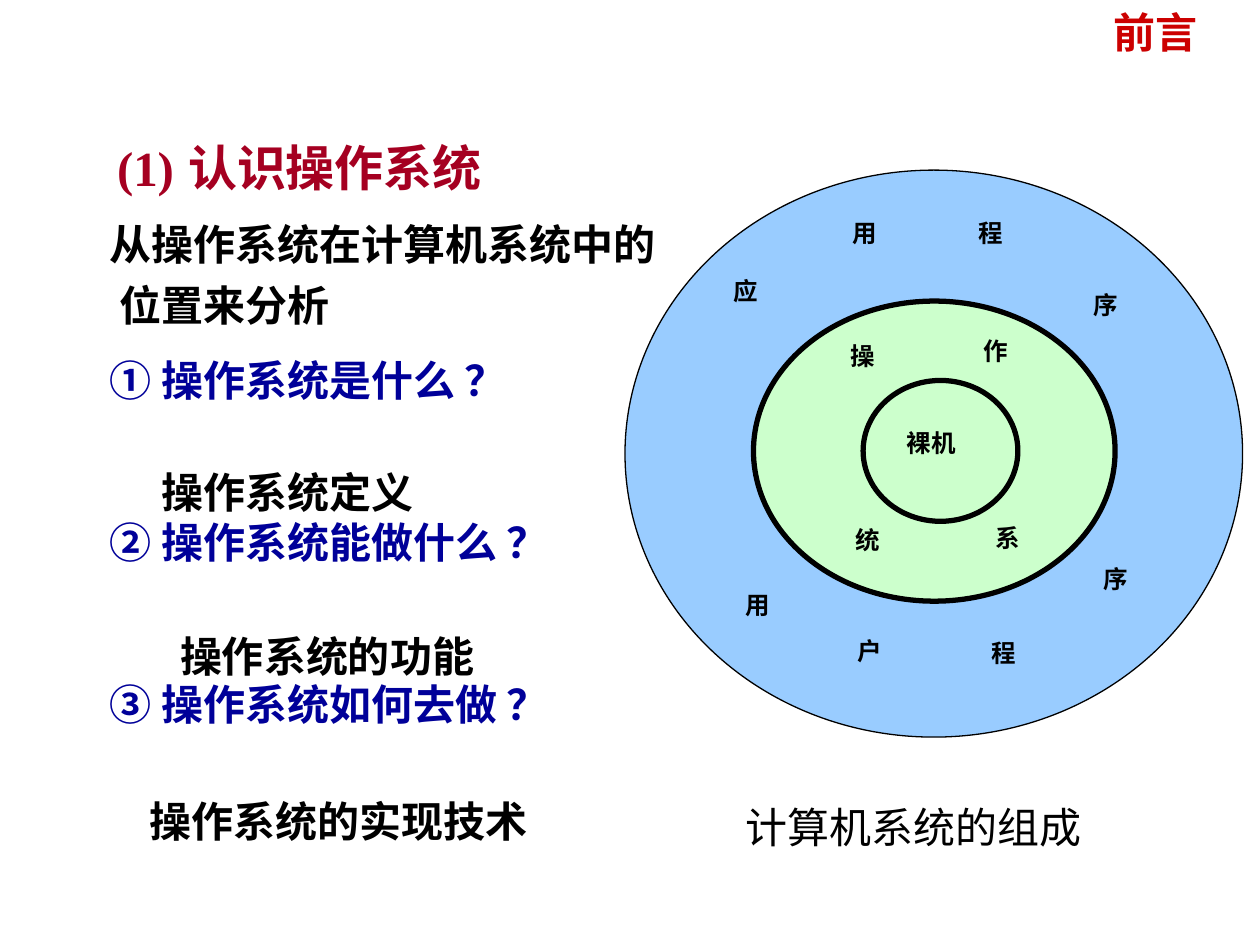
from pptx import Presentation
from pptx.dml.color import RGBColor
from pptx.enum.shapes import MSO_SHAPE
from pptx.enum.text import MSO_AUTO_SIZE, PP_ALIGN
from pptx.util import Cm, Pt

OVAL = MSO_SHAPE.OVAL
GROW = MSO_AUTO_SIZE.SHAPE_TO_FIT_TEXT
JUSTIFY, RIGHT = PP_ALIGN.JUSTIFY, PP_ALIGN.RIGHT
SERIF, SANS, CJK = "Times New Roman", "Arial", "Noto Sans CJK SC"
BLACK, BLUE, CRIMSON, RED = "000000", "000099", "A50021", "CC0000"

TITLE = {"line_spacing": 1.2}
INTRO = {"line_spacing": 1.2, "space_before": Pt(6)}
FIRST_QUESTION = {"level": 1, "line_spacing": 1.3, "space_before": Pt(6)}
NEXT_QUESTION = {"level": 1, "line_spacing": 1.3, "space_before": Pt(55)}
ANSWER = {"level": 1, "line_spacing": 1.3}
HEADER = {"alignment": RIGHT, "line_spacing": 0.9}
LABEL = {"alignment": JUSTIFY}

QUESTION_INDENT = (2.54, -1.27)
OUTLINE_BOX = (0.69, 2.24, 13.21, 13.11)
OUTLINE = [
    (TITLE, (1.47, -0.05), [("(1)", 28, SERIF, CRIMSON, True),
                            (" ", 32, SERIF, CRIMSON, True),
                            ("认识操作系统", 28, SANS, CRIMSON, True)]),
    (INTRO, (1.47, -0.2), [("从操作系统在计算机系统中的位置来分析", 24, SERIF, BLACK, True)]),
    (FIRST_QUESTION, QUESTION_INDENT, [("① ", 24, CJK, BLUE, True),
                                       ("操作系统是什么 ？", 24, SERIF, BLUE, True)]),
    (NEXT_QUESTION, QUESTION_INDENT, [("② 操作系统能做什么 ？", 24, SERIF, BLUE, True)]),
    (NEXT_QUESTION, QUESTION_INDENT, [("③ 操作系统如何去做 ？", 24, SERIF, BLUE, True)]),
]
ANSWERS = [
    ("操作系统定义", (1.73, 8.97, 8.84, 1.57), True),
    ("操作系统的功能", (2.11, 12.29, 8.84, 1.57), True),
    ("操作系统的实现技术", (1.5, 15.6, 10.49, 1.57), True),
    ("计算机系统的组成", (13.51, 15.72, 9.45, 1.57), False),
]
RINGS = [
    ((12.6, 3.43, 12.45, 11.43), "99CCFF", 0.75),
    ((15.19, 6.07, 7.29, 6.05), "CCFFCC", 3),
    ((17.4, 7.67, 3.12, 2.84), "CCFFCC", 3),
]
CORE = ("裸机", (18.03, 8.51, 2.21, 1.27))
RING_LABEL_SIZE = (1.12, 1.02)
RING_LABELS = [
    ("作", 19.58, 6.65), ("系", 19.81, 10.41), ("统", 16.99, 10.46),
    ("应", 14.53, 5.44), ("程", 19.48, 4.27), ("序", 21.79, 5.72),
    ("用", 16.94, 4.27), ("序", 22, 11.25), ("程", 19.74, 12.73),
    ("用", 14.78, 11.76), ("户", 17.04, 12.7), ("操", 16.89, 6.76),
]


def color(value):
    return RGBColor.from_string(value)


def lengths(values):
    return [Cm(value) for value in values]


def add_text(page, place, paragraphs, grow=True):
    box = page.shapes.add_textbox(*lengths(place))
    frame = box.text_frame
    frame.word_wrap = True
    if grow:
        frame.auto_size = GROW
    for index, (formats, indent, spans) in enumerate(paragraphs):
        para = frame.add_paragraph() if index else frame.paragraphs[0]
        for name, value in formats.items():
            setattr(para, name, value)
        if indent:
            properties = para._p.get_or_add_pPr()
            for name, value in zip(("marL", "indent"), lengths(indent)):
                properties.set(name, str(value))
        for text, size, font, shade, bold in spans:
            span = para.add_run()
            span.text = text
            for name, value in {"size": Pt(size), "name": font, "bold": bold}.items():
                setattr(span.font, name, value)
            span.font.color.rgb = color(shade)


def add_ring(page, place, fill, width):
    ring = page.shapes.add_shape(OVAL, *lengths(place))
    ring.shadow.inherit = False
    ring.fill.solid()
    ring.fill.fore_color.rgb = color(fill)
    ring.line.color.rgb = color(BLACK)
    ring.line.width = Pt(width)


def main():
    deck = Presentation()
    deck.slide_width, deck.slide_height = Cm(25.4), Cm(19.05)
    page = deck.slides.add_slide(deck.slide_layouts[6])
    add_text(page, OUTLINE_BOX, OUTLINE)
    for ring in RINGS:
        add_ring(page, *ring)
    labels = [CORE] + [(text, (left, top, *RING_LABEL_SIZE)) for text, left, top in RING_LABELS]
    for text, place in labels:
        add_text(page, place, [(LABEL, None, [(text, 14, SERIF, BLACK, True)])], grow=False)
    for text, place, bold in ANSWERS:
        add_text(page, place, [(ANSWER, QUESTION_INDENT, [(text, 24, SERIF, BLACK, bold)])])
    add_text(page, (1.07, 0.13, 23.32, 1.17), [(HEADER, None, [("前言", 24, SANS, RED, True)])])
    deck.save("out.pptx")


if __name__ == "__main__":
    main()
